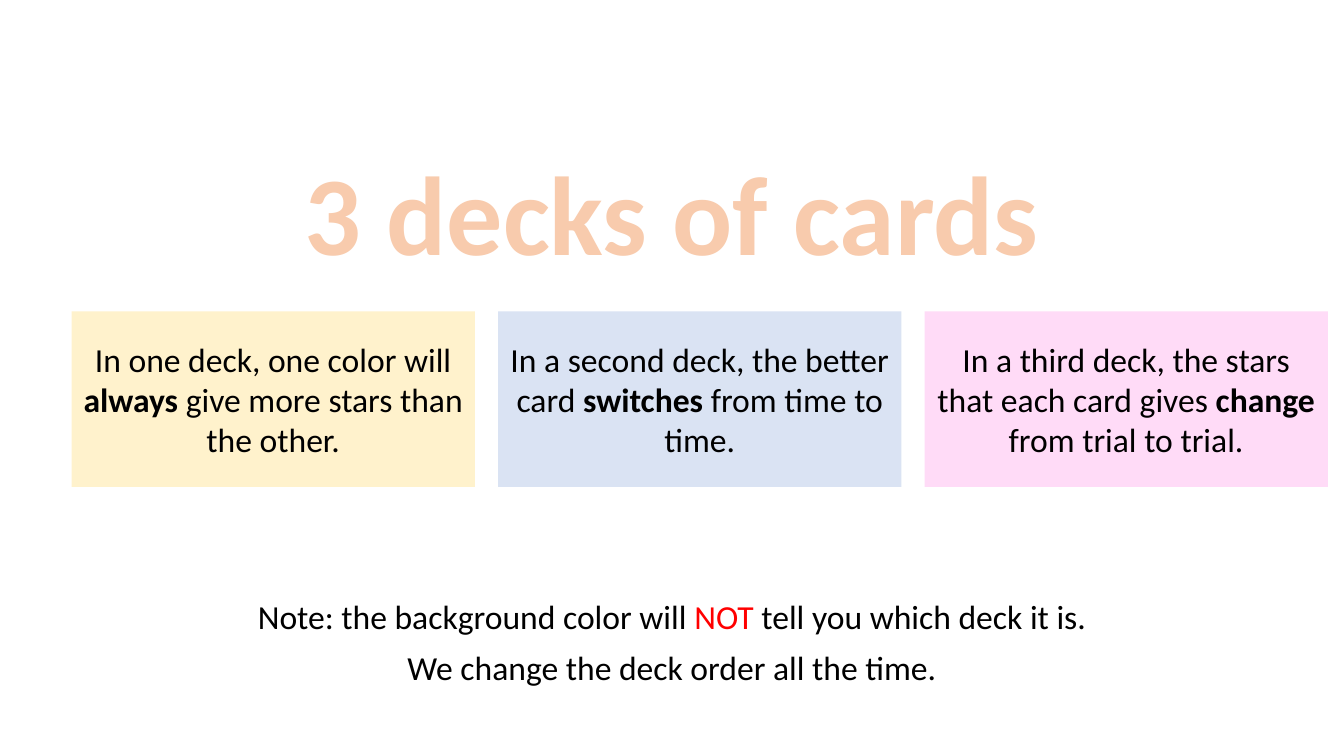
import pptx
import pptx.util
import pptx.dml.color
import pptx.enum.shapes
import pptx.enum.text

Inches = pptx.util.Inches
RGB = pptx.dml.color.RGBColor.from_string

theme = {
    "font": "Calibri",
    "title_size": 80,
    "body_size": 24,
    "title": "F8CBAD",
    "text": "000000",
    "alert": "FF0000",
    "decks": ["FFF2CC", "DAE3F3", "FFDBF7"],
}


def set_frame(tf, **values):
    values = {"word_wrap": True, "vertical_anchor": pptx.enum.text.MSO_ANCHOR.MIDDLE, **values}
    for name, value in values.items():
        setattr(tf, name, value)


def add_runs(p, runs):
    p.alignment = pptx.enum.text.PP_ALIGN.CENTER
    for text, changes in runs:
        r = p.add_run()
        r.text = text
        values = {"size": theme["body_size"], "color": theme["text"], "bold": False, **changes}
        r.font.color.rgb = RGB(values.pop("color"))
        values["size"] = pptx.util.Pt(values["size"])
        values["name"] = theme["font"]
        for name, value in values.items():
            setattr(r.font, name, value)


prs = pptx.Presentation()
prs.slide_width, prs.slide_height = Inches(13.33), Inches(7.5)
slide = prs.slides.add_slide(prs.slide_layouts[5])

title = slide.shapes.title
title.left, title.top, title.width, title.height = map(Inches, (2.89, 1.37, 7.55, 1.45))
set_frame(title.text_frame, word_wrap=False, vertical_anchor=pptx.enum.text.MSO_ANCHOR.TOP,
          auto_size=pptx.enum.text.MSO_AUTO_SIZE.NONE)
add_runs(title.text_frame.paragraphs[0],
         [("3 decks of cards", {"size": theme["title_size"], "color": theme["title"], "bold": True})])

decks = [
    ("In one deck, one color will ", "always", " give more stars than the other."),
    ("In a second deck, the better card ", "switches", " from time to time."),
    ("In a third deck, the stars that each card gives ", "change", " from trial to trial."),
]
left, pitch = 0.71, 4.23
for i, (before, key, after) in enumerate(decks):
    sp = slide.shapes.add_shape(pptx.enum.shapes.MSO_SHAPE.RECTANGLE,
                                Inches(left + i * pitch), Inches(3.09), Inches(4), Inches(1.74))
    sp.shadow.inherit = False
    sp.fill.solid()
    sp.fill.fore_color.rgb = RGB(theme["decks"][i])
    sp.line.fill.background()
    set_frame(sp.text_frame)
    add_runs(sp.text_frame.paragraphs[0], [(before, {}), (key, {"bold": True}), (after, {})])

note = slide.shapes.add_textbox(0, Inches(5.85), prs.slide_width, Inches(1.08))
tf = note.text_frame
set_frame(tf)
lines = [
    [("Note: the background color will ", {}), ("NOT", {"color": theme["alert"]}),
     (" tell you which deck it is.", {})],
    [("We change the deck order all the time.", {})],
]
for i, runs in enumerate(lines):
    p = tf.add_paragraph() if i else tf.paragraphs[0]
    p.line_spacing = 0.9
    p.space_before = pptx.util.Pt(10 if i else 0)
    add_runs(p, runs)

prs.save("out.pptx")
